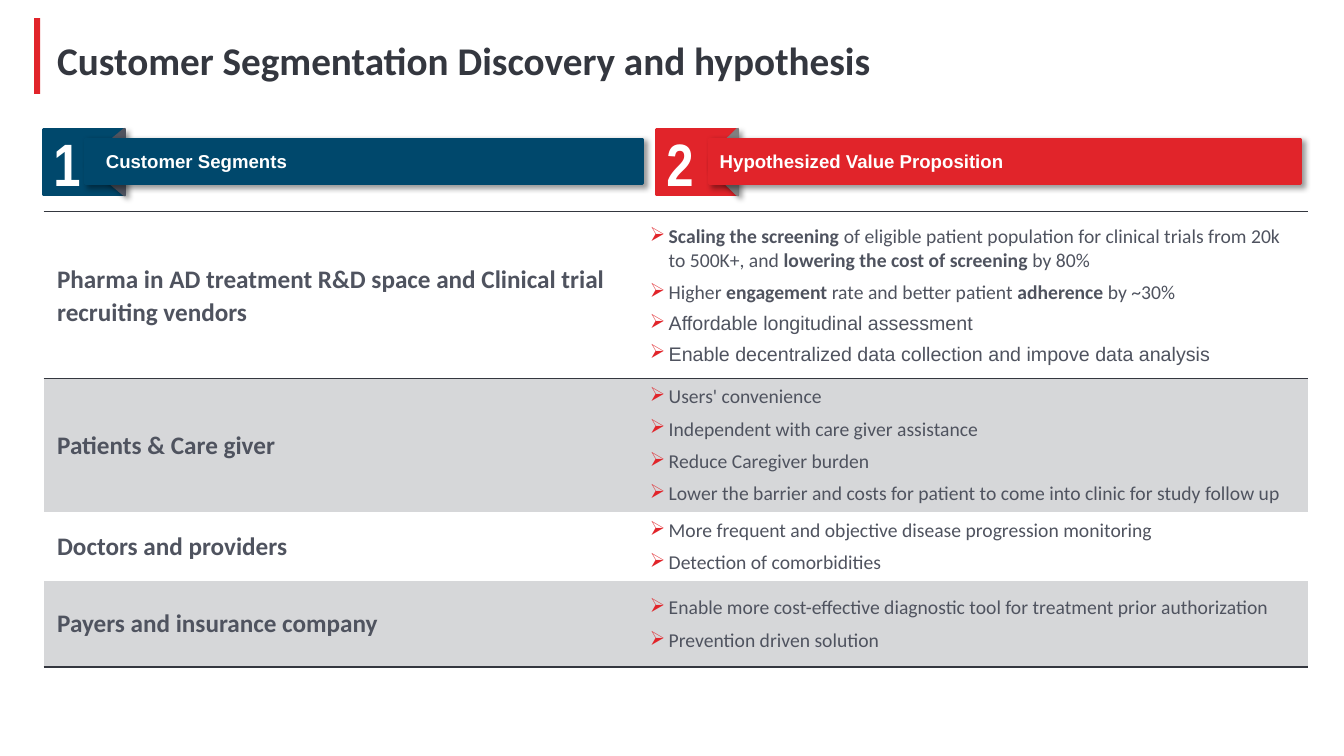
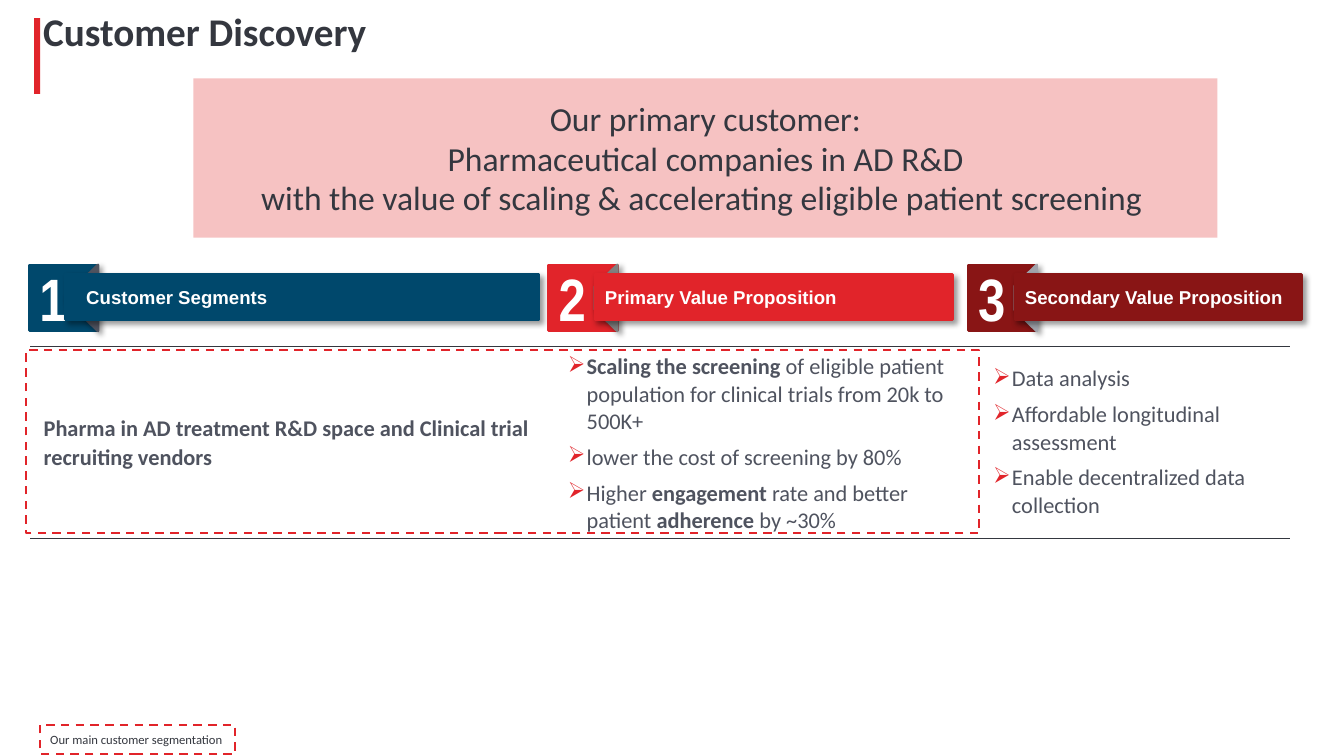
from collections import namedtuple
from dataclasses import dataclass

from pptx import Presentation
from pptx.dml.color import RGBColor as Rgb
from pptx.enum.dml import MSO_LINE as Dash
from pptx.enum.shapes import MSO_SHAPE as Form
from pptx.enum.text import MSO_ANCHOR as Anchor, PP_ALIGN as Align
from pptx.oxml import parse_xml
from pptx.oxml.ns import nsdecls, qn
from pptx.util import Pt


@dataclass(frozen=True)
class Theme:
    ink: str = "34373F"
    text: str = "4F535F"
    white: str = "FFFFFF"
    blue: str = "00486C"
    red: str = "E1242A"
    wine: str = "891515"
    pink: str = "F6C2C2"
    shade: str = "D6D7D9"
    gray: str = "808080"
    pale: str = "A1A4AC"
    body: str = "Calibri"
    sans: str = "Arial"
    slim: str = "Arial Narrow"
    title: float = 28
    claim: float = 24
    digit: float = 42.7
    band: float = 13.3
    note: float = 9


THEME = Theme()
PLAIN = "{2D5ABB26-0587-4C30-8999-92F81FD0307C}"  # table style without grid
Point = namedtuple("Point", "text font", defaults=[THEME.body])
SHADOW = (
    f'<a:effectLst {nsdecls("a")}><a:outerShdw blurRad="{Pt(4)}" dist="{Pt(3)}" '
    'dir="2700000" algn="tl" rotWithShape="0"><a:srgbClr val="000000">'
    '<a:alpha val="40000"/></a:srgbClr></a:outerShdw></a:effectLst>'
)


class Deck:
    def __init__(self, theme):
        self.theme = theme
        self.show = Presentation()
        self.show.slide_width, self.show.slide_height = Pt(960), Pt(540)
        self.slide = None

    def start(self, title, left, top):
        """Add a slide with the red bar and its title."""
        self.slide = self.show.slides.add_slide(self.show.slide_layouts[6])
        self.rect(24.5, 13, 4.3, 54, self.theme.red)
        box = self.slide.shapes.add_textbox(Pt(left), Pt(top), Pt(693), Pt(41))
        box.text_frame.word_wrap = True
        self.add_runs(box.text_frame.paragraphs[0], f"*{title}*",
                      self.theme.title, self.theme.ink)

    def add_runs(self, para, text, size, color, font=None):
        """Add runs to a paragraph; text between asterisks is bold."""
        for i, part in enumerate(text.split("*")):
            if not part:
                continue
            run = para.add_run()
            run.text = part
            run.font.size = Pt(size)
            run.font.bold = i % 2 == 1
            run.font.name = font or self.theme.body
            run.font.color.rgb = Rgb.from_string(color)

    def rect(self, left, top, width, height, fill=None, line=None, weight=2,
             form=Form.RECTANGLE, shadow=False):
        shape = self.slide.shapes.add_shape(
            form, Pt(left), Pt(top), Pt(width), Pt(height))
        shape.shadow.inherit = False
        if fill:
            shape.fill.solid()
            shape.fill.fore_color.rgb = Rgb.from_string(fill)
        else:
            shape.fill.background()
        if line:
            shape.line.color.rgb = Rgb.from_string(line)
            shape.line.width = Pt(weight)
        else:
            shape.line.fill.background()
        if shadow:
            props = shape.element.spPr
            props.replace(props.find(qn("a:effectLst")), parse_xml(SHADOW))
        return shape

    def label(self, shape, text, size, color, font=None, inset=7.2):
        """Set one left-aligned line in the middle of a shape."""
        frame = shape.text_frame
        frame.vertical_anchor = Anchor.MIDDLE
        frame.margin_left = Pt(inset)
        para = frame.paragraphs[0]
        para.alignment = Align.LEFT
        self.add_runs(para, text, size, color, font)

    def dashed(self, left, top, width, height):
        shape = self.rect(left, top, width, height, line=self.theme.red, weight=1.5)
        shape.line.dash_style = Dash.DASH
        return shape

    def ribbon(self, digit, text, top, spans, color, fold, inset=7.2):
        """Draw a numbered square, its fold and the band across it.

        spans: left and right of the square, then left and right of the band.
        """
        left, right, start, end = spans
        high = 47
        white = self.theme.white
        square = self.rect(left, top, right - left, high, color, color)
        self.label(square, f"*{digit}*", self.theme.digit, white, self.theme.slim)
        deep = right - start
        flap = self.rect((start + right - high) / 2, top + (high - deep) / 2, high,
                         deep, fold, fold, form=Form.TRAPEZOID, shadow=True)
        flap.adjustments[0] = 0.97
        flap.rotation = 270
        band = self.rect(start, top + 7, end - start, 32, color, color, shadow=True)
        self.label(band, f"*{text}*", self.theme.band, white, self.theme.sans, inset)

    def claim(self, lines, left, top, width, height):
        frame = self.rect(left, top, width, height, self.theme.pink).text_frame
        frame.vertical_anchor = Anchor.MIDDLE
        frame.margin_left = frame.margin_right = 0
        frame.margin_top = frame.margin_bottom = 0
        para = frame.paragraphs[0]
        para.alignment = Align.CENTER
        para.line_spacing = Pt(28)
        for i, line in enumerate(lines):
            if i:
                para.add_line_break()
            self.add_runs(para, line, self.theme.claim, self.theme.ink)

    def border(self, cell, sides):
        props = cell._tc.get_or_add_tcPr()
        for side in sides:
            props.append(parse_xml(
                f'<a:ln{side} {nsdecls("a")} w="{Pt(1)}"><a:solidFill>'
                f'<a:srgbClr val="{self.theme.ink}"/></a:solidFill></a:ln{side}>'))

    def bullet(self, para):
        props = para._p.get_or_add_pPr()
        props.set("marL", str(Pt(13.5)))
        props.set("indent", str(-Pt(13.5)))
        for xml in (f'<a:buClr {nsdecls("a")}><a:srgbClr val="{self.theme.red}"/></a:buClr>',
                    f'<a:buChar {nsdecls("a")} char="➢"/>'):
            props.append(parse_xml(xml))

    def fill(self, cell, entry, big, size, first):
        """Put a bold heading (a string) or a list of points in a cell."""
        cell.vertical_anchor = Anchor.MIDDLE
        cell.margin_left = cell.margin_right = Pt(9.6)
        cell.margin_top = cell.margin_bottom = Pt(4.8)
        frame = cell.text_frame
        para = frame.paragraphs[0]
        if isinstance(entry, str):
            para.space_after = Pt(3 if first else 6)
            para.line_spacing = 1.07 if first else 1.0
            self.add_runs(para, f"*{entry}*", big, self.theme.text)
            return
        for i, point in enumerate(entry):
            para = frame.add_paragraph() if i else para
            para.space_after = Pt(6)
            self.bullet(para)
            self.add_runs(para, point.text, size, self.theme.text, point.font)

    def table(self, left, top, widths, heights, rows, big, size):
        frame = self.slide.shapes.add_table(
            len(rows), len(widths), Pt(left), Pt(top), Pt(sum(widths)), Pt(sum(heights)))
        for style in frame.element.iter(qn("a:tableStyleId")):
            style.text = PLAIN
        grid = frame.table
        grid.first_row = grid.horz_banding = False
        for col, width in zip(grid.columns, widths):
            col.width = Pt(width)
        for r, row in enumerate(rows):
            grid.rows[r].height = Pt(heights[r])
            sides = "TB" if r == 0 else "B" if r == len(rows) - 1 else ""
            for c, entry in enumerate(row):
                cell = grid.cell(r, c)
                self.border(cell, sides)
                if r % 2:
                    cell.fill.solid()
                    cell.fill.fore_color.rgb = Rgb.from_string(self.theme.shade)
                else:
                    cell.fill.background()
                self.fill(cell, entry, big, size, r == 0)


PHARMA = "Pharma in AD treatment R&D space and Clinical trial recruiting vendors"
BETTER = Point("Higher *engagement* rate and better patient *adherence* by ~30%")


def segments(deck):
    theme = deck.theme
    deck.start("Customer Segmentation Discovery and hypothesis", 33.8, 22.3)
    top = 92.3
    deck.ribbon(1, "Customer Segments", top, (31, 89, 61, 459),
                theme.blue, theme.text, 14.6)
    deck.ribbon(2, "Hypothesized Value Proposition", top, (469, 527, 507, 929),
                theme.red, theme.gray)
    rows = [
        (PHARMA, [
            Point("*Scaling the screening* of eligible patient population for clinical "
                  "trials from 20k to 500K+, and *lowering the cost of screening* by 80%"),
            BETTER,
            Point("Affordable longitudinal assessment", theme.sans),
            Point("Enable decentralized data collection and impove data analysis",
                  theme.sans)]),
        ("Patients & Care giver", [
            Point("Users' convenience"),
            Point("Independent with care giver assistance"),
            Point("Reduce Caregiver burden"),
            Point("Lower the barrier and costs for patient to come into clinic "
                  "for study follow up")]),
        ("Doctors and providers", [
            Point("More frequent and objective disease progression monitoring"),
            Point("Detection of comorbidities")]),
        ("Payers and insurance company", [
            Point("Enable more cost-effective diagnostic tool for treatment "
                  "prior authorization"),
            Point("Prevention driven solution")]),
    ]
    deck.table(31.2, 151, (423.4, 479.5), (119.3, 95.7, 49.3, 61.2), rows, 18, 14)


def primary(deck):
    theme = deck.theme
    deck.start("Customer Discovery", 23.8, 1.5)
    deck.claim(["Our primary customer:",
                "Pharmaceutical companies in AD R&D",
                "with the value of scaling & accelerating eligible patient screening "],
               138.2, 56, 731.5, 113.8)
    top = 189.3
    deck.ribbon(1, "Customer Segments", top, (21, 70, 47, 385),
                theme.blue, theme.text, 14.6)
    deck.ribbon(2, "Primary Value Proposition", top, (392, 441, 425, 680.5),
                theme.red, theme.gray)
    deck.ribbon(3, "Secondary Value Proposition", top, (691.5, 740.5, 725, 930),
                theme.wine, theme.pale)
    row = (
        PHARMA,
        [Point("*Scaling the screening* of eligible patient population for clinical "
               "trials from 20k to 500K+"),
         Point("lower the cost of screening by 80%"),
         BETTER],
        [Point("Data analysis"),
         Point("Affordable longitudinal assessment"),
         Point("Enable decentralized data collection")],
    )
    deck.table(21.6, 247.6, (374.4, 303.8, 221.8), (119.5,), [row], 16, 16)
    deck.dashed(18.7, 250, 680.4, 131)
    note = deck.dashed(28.8, 517.7, 139, 20.9)
    deck.label(note, "Our main customer segmentation", theme.note, theme.ink)


def main():
    deck = Deck(THEME)
    segments(deck)
    primary(deck)
    deck.show.save("out.pptx")


if __name__ == "__main__":
    main()
